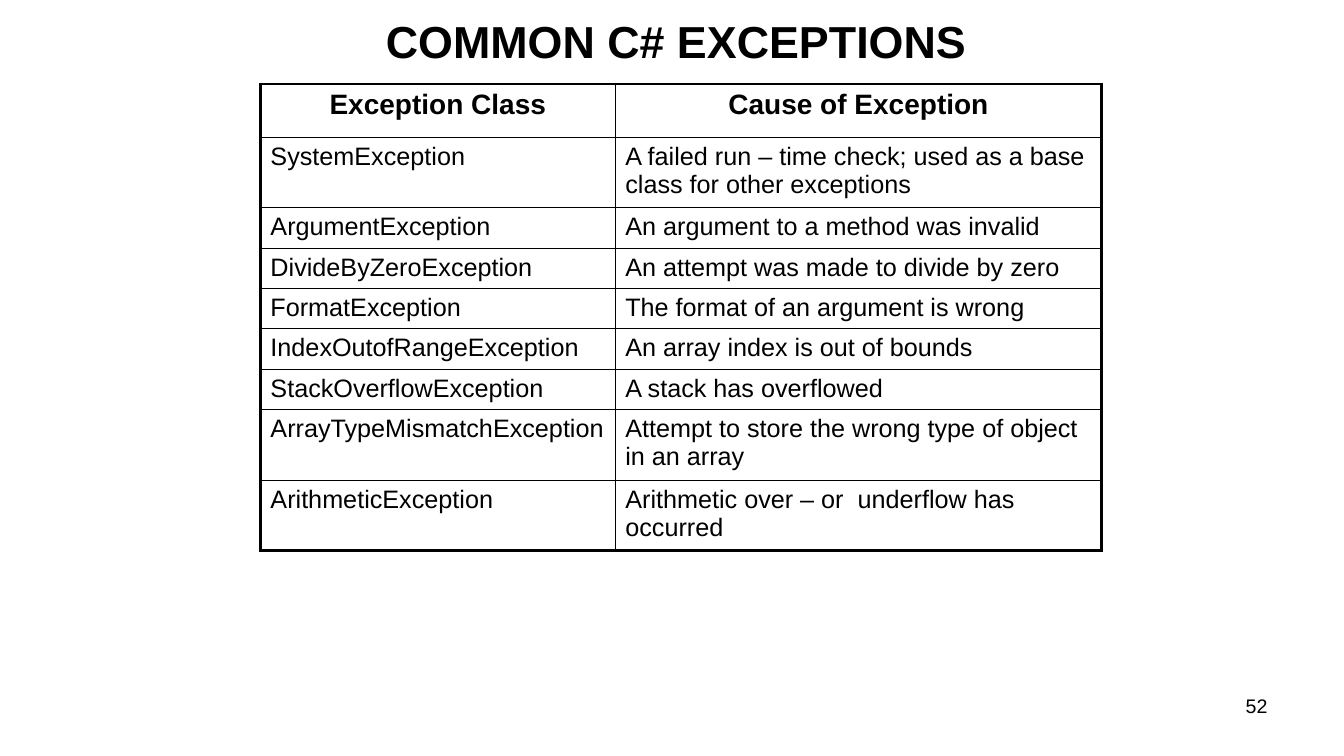
"""Builds the slide that lists the common C# exceptions."""
import pptx
import pptx.dml.color
import pptx.enum.text
import pptx.oxml
import pptx.oxml.ns
import pptx.util

Pt = pptx.util.Pt
ALIGN = pptx.enum.text.PP_ALIGN
COLORS = {"ink": "000000"}
FONT = "Arial"
THICK, THIN = 2.25, 1
COL_WIDTHS = (253.5, 347.5)
HEADER_HEIGHT, ONE_LINE, TWO_LINES = 38, 28.8, 50.4
HEADER = ("Exception Class", "Cause of Exception")
EXCEPTIONS = [
    ("SystemException", "A failed run – time check; used as a base class for other exceptions", TWO_LINES),
    ("ArgumentException", "An argument to a method was invalid", ONE_LINE),
    ("DivideByZeroException", "An attempt was made to divide by zero", ONE_LINE),
    ("FormatException", "The format of an argument is wrong", ONE_LINE),
    ("IndexOutofRangeException", "An array index is out of bounds", ONE_LINE),
    ("StackOverflowException", "A stack has overflowed", ONE_LINE),
    ("ArrayTypeMismatchException", "Attempt to store the wrong type of object in an array", TWO_LINES),
    ("ArithmeticException", "Arithmetic over – or  underflow has occurred", TWO_LINES),
]


def write(tf, text, size, align, bold=False):
    """Fill a text frame with one formatted paragraph."""
    tf.text = text
    tf.word_wrap = True
    p = tf.paragraphs[0]
    p.alignment = align
    font = p.runs[0].font
    font.name, font.size, font.bold = FONT, Pt(size), bold
    font.color.rgb = pptx.dml.color.RGBColor.from_string(COLORS["ink"])


def add_text(slide, box, text, size, align, bold=False):
    """Place a text box in the given box."""
    sp = slide.shapes.add_textbox(*map(Pt, box))
    write(sp.text_frame, text, size, align, bold)
    return sp


def set_borders(cell, widths):
    """Draw the left, right, top and bottom borders of a cell."""
    tcPr = cell._tc.get_or_add_tcPr()
    for i, (side, width) in enumerate(zip("LRTB", widths)):
        tcPr.insert(i, pptx.oxml.parse_xml(
            f'<a:ln{side} {pptx.oxml.ns.nsdecls("a")} w="{Pt(width)}"><a:solidFill>'
            f'<a:srgbClr val="{COLORS["ink"]}"/></a:solidFill></a:ln{side}>'))


def add_exception_table(slide, left, top):
    """Place the table of exceptions with its top left corner at a point."""
    rows = [(*HEADER, HEADER_HEIGHT)] + EXCEPTIONS
    last = len(rows) - 1
    height = sum(row[2] for row in rows)
    table = slide.shapes.add_table(
        len(rows), 2, Pt(left), Pt(top), Pt(sum(COL_WIDTHS)), Pt(height)).table
    table.first_row = table.horz_banding = False
    for column, width in zip(table.columns, COL_WIDTHS):
        column.width = Pt(width)
    for r, (name, cause, row_height) in enumerate(rows):
        table.rows[r].height = Pt(row_height)
        for c, text in enumerate((name, cause)):
            cell = table.cell(r, c)
            if r == 0:
                write(cell.text_frame, text, 20, ALIGN.CENTER, True)
            else:
                write(cell.text_frame, text, 18, ALIGN.LEFT)
            cell.fill.background()
            outer = (c == 0, c == 1, r == 0, r == last)
            set_borders(cell, [THICK if edge else THIN for edge in outer])


def add_exceptions_slide(prs):
    """Add the slide with its title, table and number."""
    slide = prs.slides.add_slide(prs.slide_layouts[6])
    add_text(slide, (688.5, 492, 224, 37.5), "52", 14, ALIGN.RIGHT)
    add_exception_table(slide, 186, 60)
    add_text(slide, (174, 6, 618, 45), "COMMON C# EXCEPTIONS", 32, ALIGN.CENTER, True)


def main():
    """Build and save the presentation."""
    prs = pptx.Presentation()
    prs.slide_width, prs.slide_height = Pt(960), Pt(540)
    add_exceptions_slide(prs)
    prs.save("out.pptx")


if __name__ == "__main__":
    main()
